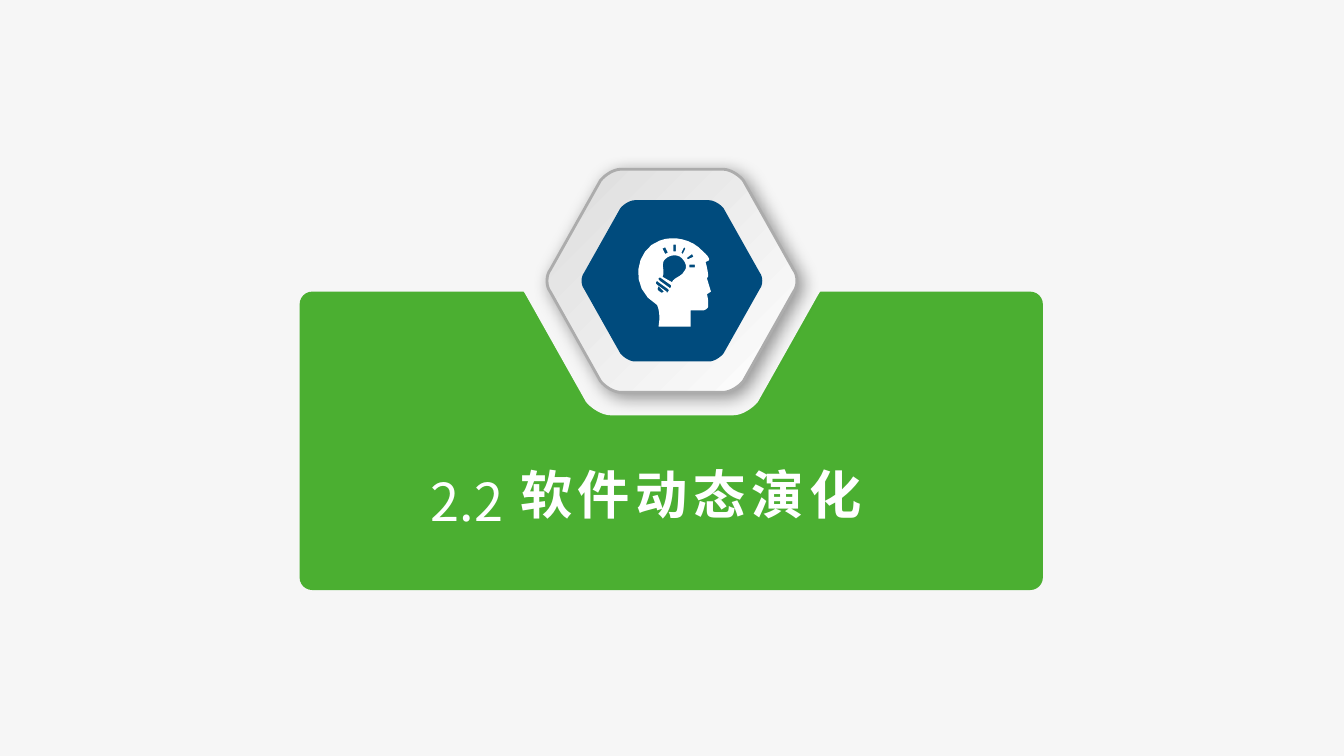
from dataclasses import dataclass

from lxml.etree import SubElement
from pptx import Presentation
from pptx.dml.color import RGBColor
from pptx.enum.shapes import MSO_SHAPE
from pptx.enum.text import MSO_ANCHOR, PP_ALIGN
from pptx.oxml.ns import qn
from pptx.shapes.autoshape import Shape
from pptx.slide import Slide
from pptx.util import Inches, Pt

COLORS = {
    "background": "F6F6F6",
    "green": "4BAF31",
    "blue": "004B7D",
    "white": "FFFFFF",
    "silver": "DCDCDC",
    "rim": "ACACAC",
    "shadow": "000000",
}
FONT = "Noto Sans CJK SC"
SLIDE_WIDTH = 10
SLIDE_HEIGHT = SLIDE_WIDTH * 9 / 16
CENTER_X, CENTER_Y = SLIDE_WIDTH / 2, 2.09
CURVE_STEPS = 8

# A contour starts with a point; then 2 numbers are a line, 6 a Bézier curve
Contour = list[tuple[float, ...]]

# Rounded hexagon around its centre, one inch in half height
HEXAGON: Contour = [
    (0.46, -1), (0.52, -1, 0.6, -0.95, 0.64, -0.9),
    (1.09, -0.1), (1.13, -0.05, 1.13, 0.05, 1.09, 0.1),
    (0.64, 0.9), (0.6, 0.95, 0.52, 1, 0.46, 1),
    (-0.46, 1), (-0.52, 1, -0.6, 0.95, -0.64, 0.9),
    (-1.09, 0.1), (-1.13, 0.05, -1.13, -0.05, -1.09, -0.1),
    (-0.64, -0.9), (-0.6, -0.95, -0.52, -1, -0.46, -1),
]

# Head with the bulb, its thread and its rays cut out
HEAD: list[Contour] = [
    [(4.9, 2.43), (4.91, 2.37, 4.91, 2.32, 4.89, 2.27),
     (4.67, 2.14, 4.73, 1.85, 4.91, 1.79), (5.01, 1.75, 5.15, 1.78, 5.23, 1.87),
     (5.3, 1.93, 5.27, 1.94, 5.27, 1.94), (5.25, 1.95),
     (5.26, 1.98, 5.27, 2.04, 5.27, 2.05), (5.27, 2.06, 5.26, 2.07, 5.26, 2.07),
     (5.29, 2.17), (5.26, 2.19), (5.27, 2.22, 5.27, 2.25, 5.27, 2.28),
     (5.27, 2.29, 5.25, 2.31, 5.23, 2.31), (5.14, 2.31), (5.14, 2.43)],
    [(5.06, 1.91), (5.02, 1.89, 4.97, 1.9, 4.94, 1.94),
     (4.92, 1.98, 4.95, 2.02, 4.93, 2.06), (5, 2.1),
     (5.02, 2.06, 5.07, 2.06, 5.09, 2.02), (5.12, 1.99, 5.1, 1.94, 5.06, 1.91)],
    [(4.99, 2.12), (4.92, 2.07), (4.91, 2.06, 4.9, 2.07, 4.9, 2.07),
     (4.9, 2.08, 4.9, 2.08, 4.91, 2.09), (4.98, 2.14),
     (4.98, 2.15, 4.99, 2.14, 4.99, 2.14), (5, 2.13, 4.99, 2.12, 4.99, 2.12)],
    [(4.97, 2.15), (4.9, 2.1), (4.89, 2.09, 4.89, 2.09, 4.88, 2.1),
     (4.88, 2.11, 4.88, 2.11, 4.89, 2.12), (4.96, 2.17),
     (4.96, 2.18, 4.97, 2.18, 4.97, 2.17), (4.98, 2.16, 4.98, 2.16, 4.97, 2.15)],
    [(4.9, 2.13), (4.89, 2.15, 4.89, 2.16, 4.91, 2.17),
     (4.92, 2.18, 4.93, 2.18, 4.94, 2.17)],
    [(4.97, 1.88), (4.95, 1.84), (4.93, 1.85), (4.95, 1.89)],
    [(5.03, 1.87), (5.03, 1.82), (5.01, 1.82), (5.01, 1.87)],
    [(5.08, 1.89), (5.1, 1.85), (5.09, 1.84), (5.07, 1.88)],
    [(5.12, 1.93), (5.16, 1.91), (5.15, 1.89), (5.11, 1.92)],
    [(5.13, 1.99), (5.17, 1.99), (5.17, 1.97), (5.13, 1.97)],
]


@dataclass
class Label:
    text: str
    left: float
    top: float
    width: float
    height: float
    margin_x: float = 0
    margin_y: float = 0
    bold: bool = False
    spacing: int = 0  # hundredths of a point


NUMBER = Label("2.2", 3.14, 3.49, 0.67, 0.47)
TITLE = Label("软件动态演化", 3.61, 3.39, 3.06, 0.57, 0.1, 0.05, True, 300)


def color(name: str) -> RGBColor:
    return RGBColor.from_string(COLORS[name])


def paint(shape: Shape, fill: str) -> None:
    shape.shadow.inherit = False
    shape.fill.solid()
    shape.fill.fore_color.rgb = color(fill)
    shape.line.fill.background()


def flatten(contour: Contour) -> list[tuple[int, int]]:
    """Turn lines and curves into points in EMU."""
    points = [contour[0]]
    for segment in contour[1:]:
        if len(segment) == 2:
            points.append(segment)
            continue
        controls = [points[-1], segment[:2], segment[2:4], segment[4:]]
        for step in range(1, CURVE_STEPS + 1):
            t = step / CURVE_STEPS
            weights = ((1 - t) ** 3, 3 * t * (1 - t) ** 2, 3 * t * t * (1 - t), t ** 3)
            points.append(tuple(
                sum(w * point[axis] for w, point in zip(weights, controls))
                for axis in (0, 1)))
    return [(Inches(x), Inches(y)) for x, y in points]


def add_outline(slide: Slide, contours: list[Contour], fill: str) -> Shape:
    first, *others = map(flatten, contours)
    builder = slide.shapes.build_freeform(*first[0])
    builder.add_line_segments(first[1:])
    for points in others:
        builder.move_to(*points[0])
        builder.add_line_segments(points[1:])
    shape = builder.convert_to_shape()
    paint(shape, fill)
    return shape


def add_hexagon(slide: Slide, scale: float, fill: str) -> Shape:
    centers = (CENTER_X, CENTER_Y)
    contour = [tuple(centers[i % 2] + scale * value for i, value in enumerate(segment))
               for segment in HEXAGON]
    return add_outline(slide, [contour], fill)


def raise_badge(shape: Shape) -> None:
    """Give the badge its gradient, rim and soft shadow."""
    shape.fill.gradient()
    shape.fill.gradient_angle = 315
    for stop, name in zip(shape.fill.gradient_stops, ("silver", "white")):
        stop.color.rgb = color(name)
    shape.line.color.rgb = color("rim")
    shape.line.width = Pt(1.5)
    effects = shape._element.spPr.find(qn("a:effectLst"))
    shadow = SubElement(effects, qn("a:outerShdw"), blurRad=str(Pt(9)),
                        dist=str(Pt(3)), dir="2700000", algn="ctr", rotWithShape="0")
    shade = SubElement(shadow, qn("a:srgbClr"), val=COLORS["shadow"])
    SubElement(shade, qn("a:alpha"), val="40000")


def write_label(shape: Shape, label: Label) -> None:
    shape.left, shape.top = Inches(label.left), Inches(label.top)
    shape.width, shape.height = Inches(label.width), Inches(label.height)
    frame = shape.text_frame
    frame.word_wrap = True
    frame.vertical_anchor = MSO_ANCHOR.TOP
    frame.margin_left = frame.margin_right = Inches(label.margin_x)
    frame.margin_top = frame.margin_bottom = Inches(label.margin_y)
    frame.text = label.text
    paragraph = frame.paragraphs[0]
    paragraph.alignment = PP_ALIGN.CENTER
    paragraph.font.size = Pt(28)
    paragraph.font.bold = label.bold
    paragraph.font.name = FONT
    paragraph.font.color.rgb = color("white")
    # East Asian font and letter spacing
    properties = paragraph.runs[0]._r.get_or_add_rPr()
    properties.set("spc", str(label.spacing))
    SubElement(properties, qn("a:ea"), typeface=FONT)


def main() -> None:
    presentation = Presentation()
    presentation.slide_width = Inches(SLIDE_WIDTH)
    presentation.slide_height = Inches(SLIDE_HEIGHT)
    slide = presentation.slides.add_slide(presentation.slide_layouts[5])
    slide.background.fill.solid()
    slide.background.fill.fore_color.rgb = color("background")

    # Green panel
    panel = slide.shapes.add_shape(MSO_SHAPE.ROUNDED_RECTANGLE, Inches(2.23),
                                   Inches(2.17), Inches(5.53), Inches(2.22))
    panel.adjustments[0] = 0.042
    paint(panel, "green")

    # Hexagon badge: notch, raised rim, blue core, icon
    add_hexagon(slide, 1, "background")
    raise_badge(add_hexagon(slide, 0.83, "silver"))
    add_hexagon(slide, 0.6, "blue")
    add_outline(slide, HEAD, "white")

    # Section number and title, the title brought in front of the panel
    write_label(slide.shapes.add_textbox(0, 0, 0, 0), NUMBER)
    title = slide.shapes.title
    write_label(title, TITLE)
    slide.shapes._spTree.append(title._element)

    presentation.save("out.pptx")


if __name__ == "__main__":
    main()
